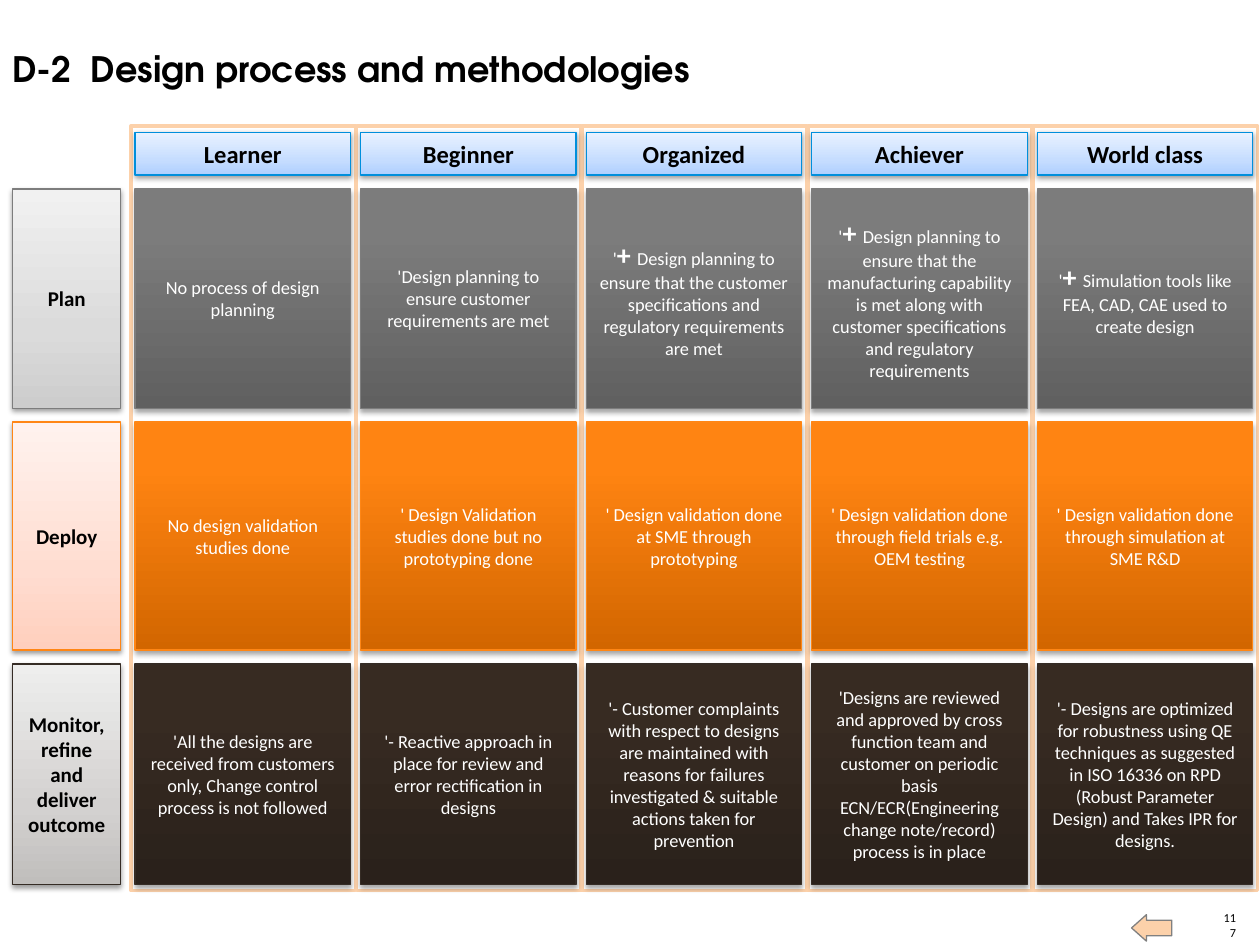
from lxml import etree
from pptx import Presentation
from pptx.dml.color import RGBColor
from pptx.enum import shapes, text
from pptx.oxml.ns import qn
from pptx.util import Pt

LEFT, STEP, WIDE = 77.2, 128.9, 123.1
SIDE = (0, 35, 100)
BODY = (0, 80, 100)
SOFT = (38, 1.6)
DEEP = (35, 1.8)
BLUE = ("AECFFF", "C6DDFF", "E9F2FF")
LEVELS = ["Learner", "Beginner", "Organized", "Achiever", "World class"]
ROWS = [
    ("Plan", 108, 125.3, "7D7D7D",
     ("CDCDCD", "DBDBDB", "F1F1F1"), ("606060", "7C7C7C", "7D7D7D"),
     ["No process of design planning",
      "'Design planning to ensure customer requirements are met",
      "'+ Design planning to ensure that the customer specifications and "
      "regulatory requirements are met",
      "'+ Design planning to ensure that the manufacturing capability is met "
      "along with customer specifications and regulatory requirements",
      "'+ Simulation tools like FEA, CAD, CAE used to create design"]),
    ("Deploy", 241.2, 130.3, "FF8615",
     ("FFCFBD", "FFDDD1", "FFF2EE"), ("D26600", "FF8412", "FF8514"),
     ["No design validation studies done",
      "' Design Validation studies done but no prototyping done",
      "' Design validation done at SME through prototyping",
      "' Design validation done through field trials e.g. OEM testing",
      "' Design validation done through simulation at SME R&D"]),
    ("Monitor, refine and deliver outcome", 379.4, 126, "352C25",
     ("C0BEBC", "D3D1D0", "EEEEED"), ("2A211B", "372B22", "372B22"),
     ["'All the designs are received from customers only, Change control "
      "process is not followed",
      "'- Reactive approach in place for review and error rectification in designs",
      "'- Customer complaints with respect to designs are maintained with reasons "
      "for failures investigated & suitable actions taken for prevention",
      "'Designs are reviewed and approved by cross function team and customer on "
      "periodic basis\nECN/ECR(Engineering change note/record) process is in place",
      "'- Designs are optimized for robustness using QE techniques as suggested in "
      "ISO 16336 on RPD (Robust Parameter Design) and Takes IPR for designs."]),
]


def rgb(code):
    return RGBColor.from_string(code)


def add_run(para, words, size, color, bold=False, face="Calibri"):
    run = para.add_run()
    run.text = words
    run.font.size = Pt(size)
    run.font.name = face
    run.font.bold = bold
    run.font.color.rgb = rgb(color)


def add_box(slide, box, line, weight, kind=shapes.MSO_SHAPE.RECTANGLE):
    shape = slide.shapes.add_shape(kind, *map(Pt, box))
    shape.line.color.rgb = rgb(line)
    shape.line.width = Pt(weight)
    shape.shadow.inherit = False
    return shape


def fill_flat(shape, color):
    shape.fill.solid()
    shape.fill.fore_color.rgb = rgb(color)


def fill_fade(shape, spots, colors):
    shape.fill.gradient()
    shape.fill.gradient_angle = 90
    stops = next(shape._element.iter(qn("a:gsLst")))
    for stop in list(stops):
        stops.remove(stop)
    for spot, color in zip(spots, colors):
        stop = etree.SubElement(stops, qn("a:gs"), pos=str(spot * 1000))
        etree.SubElement(stop, qn("a:srgbClr"), val=color)


def cast(shape, alpha, drop):
    effects = next(shape._element.iter(qn("a:effectLst")))
    shade = etree.SubElement(
        effects, qn("a:outerShdw"), blurRad=str(Pt(3.1)), dist=str(Pt(drop)),
        dir="5400000", rotWithShape="0")
    color = etree.SubElement(shade, qn("a:srgbClr"), val="000000")
    etree.SubElement(color, qn("a:alpha"), val=str(alpha * 1000))


def add_tile(slide, box, line, spots, colors, shadow):
    tile = add_box(slide, box, line, 0.75)
    fill_fade(tile, spots, colors)
    cast(tile, *shadow)
    frame = tile.text_frame
    frame.word_wrap = True
    frame.vertical_anchor = text.MSO_ANCHOR.MIDDLE
    return frame


def add_label(slide, box, line, colors, words, size):
    frame = add_tile(slide, box, line, SIDE, colors, SOFT)
    para = frame.paragraphs[0]
    para.alignment = text.PP_ALIGN.CENTER
    add_run(para, words, size, "000000", True)


def add_cell(slide, box, line, colors, words):
    frame = add_tile(slide, box, line, BODY, colors, DEEP)
    for i, part in enumerate(words.split("\n")):
        para = frame.add_paragraph() if i else frame.paragraphs[0]
        para.alignment = text.PP_ALIGN.CENTER
        if part.startswith("'+ "):
            add_run(para, "'", 10.5, "FFFFFF")
            add_run(para, "+ ", 16, "FFFFFF", True)
            part = part[3:]
        add_run(para, part, 10.5, "FFFFFF")


def add_note(slide, box):
    frame = slide.shapes.add_textbox(*map(Pt, box)).text_frame
    frame.word_wrap = True
    return frame


def add_foot(slide):
    frame = add_note(slide, (697.7, 528.5, 8.6, 8.6))
    frame.margin_left = frame.margin_right = 0
    frame.margin_top = frame.margin_bottom = 0
    frame.vertical_anchor = text.MSO_ANCHOR.BOTTOM
    para = frame.paragraphs[0]
    para.alignment = text.PP_ALIGN.RIGHT
    add_run(para, "117", 7, "000000")
    arrow = add_box(slide, (646.6, 522.7, 23, 15.1), "808080", 0.75,
                    shapes.MSO_SHAPE.RIGHT_ARROW)
    arrow.rotation = 180
    arrow.adjustments[0] = 0.59
    arrow.adjustments[1] = 0.56
    fill_flat(arrow, "FCD1AA")


def main():
    deck = Presentation()
    deck.slide_width, deck.slide_height = Pt(720), Pt(540)
    slide = deck.slides.add_slide(deck.slide_layouts[6])
    add_foot(slide)
    title = add_note(slide, (0, 23.8, 619.2, 31.7))
    add_run(title.paragraphs[0], "D-2  Design process and methodologies",
            20, "000000", True, "TeX Gyre Adventor")
    lefts = [LEFT + STEP * i for i in range(len(LEVELS))]
    for left in lefts:
        panel = add_box(slide, (left - 2.3, 72, 128.2, 437), "FCD1AA", 2)
        fill_flat(panel, "FFFFFF")
    for name, top, high, line, pale, dark, cells in ROWS:
        add_label(slide, (7.2, top, 61.9, high), line, pale, name, 12)
        for left, words in zip(lefts, cells):
            add_cell(slide, (left, top, WIDE, high), line, dark, words)
    for left, name in zip(lefts, LEVELS):
        add_label(slide, (left, 75.6, WIDE, 24.5), "008FDC", BLUE, name, 14)
    deck.save("out.pptx")


if __name__ == "__main__":
    main()
